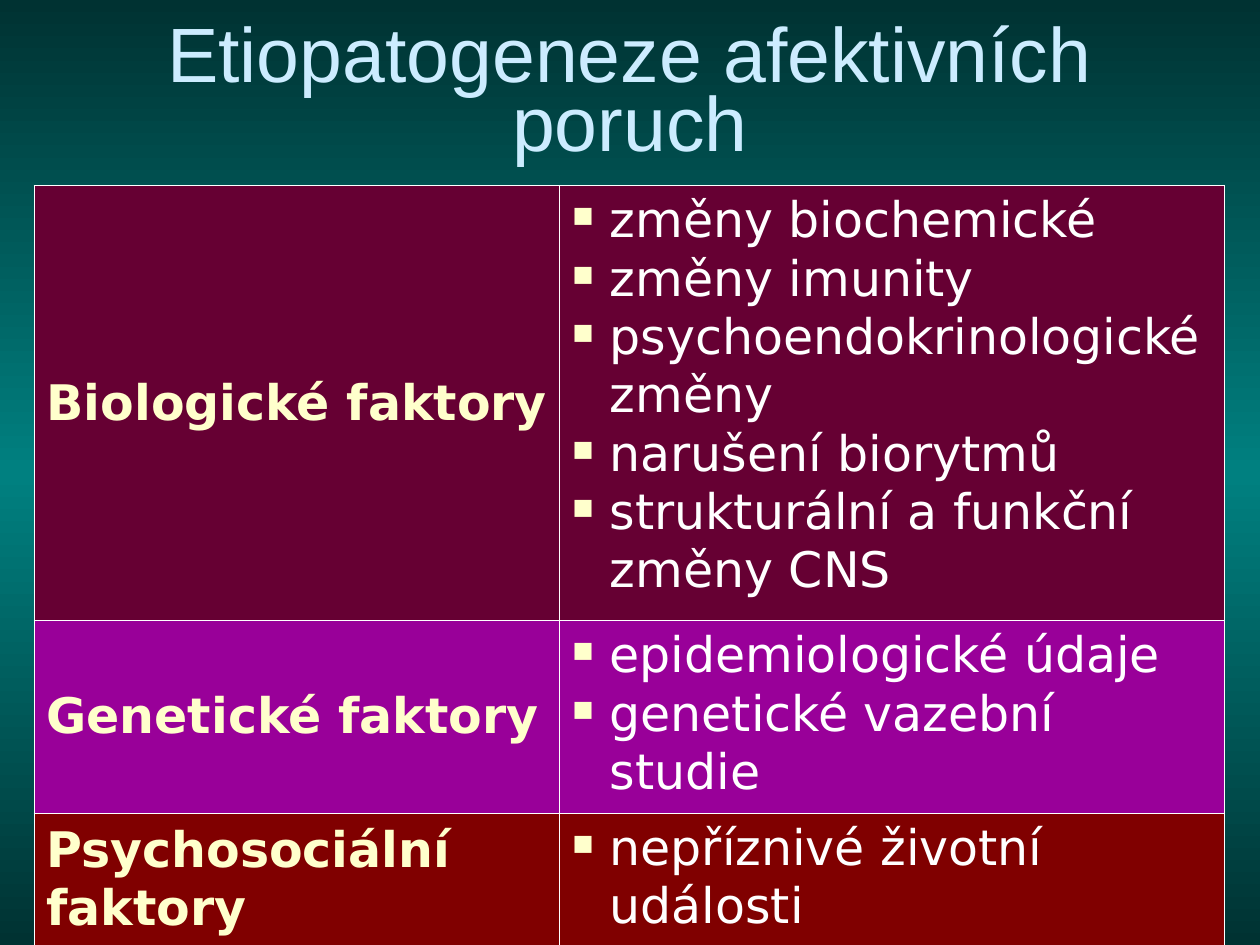
from copy import deepcopy
from dataclasses import dataclass

from lxml.etree import SubElement
from pptx import Presentation
from pptx.dml.color import RGBColor
from pptx.enum.text import MSO_ANCHOR, PP_ALIGN
from pptx.oxml import parse_xml
from pptx.oxml.ns import nsdecls, qn
from pptx.slide import Slide
from pptx.table import _Cell
from pptx.text.text import _Paragraph
from pptx.util import Inches, Pt

WHITE, CREAM, ICE = "FFFFFF", "FFFFCC", "CCECFF"
DARK, TEAL = "003232", "008080"


@dataclass
class Factor:
    """One table row: a factor, its fill, its height and its items."""
    name: str
    fill: str
    height: float
    items: list[str]


FACTORS = [
    Factor("Biologické faktory", "660033", 3.45, [
        "změny biochemické",
        "změny imunity",
        "psychoendokrinologické změny",
        "narušení biorytmů",
        "strukturální a funkční změny CNS",
    ]),
    Factor("Genetické faktory", "990099", 1.41, [
        "epidemiologické údaje",
        "genetické vazební studie",
    ]),
    Factor("Psychosociální faktory", "800000", 1.05, [
        "nepříznivé životní události",
    ]),
]


def tint(code: str) -> RGBColor:
    """Turn a hex string into a colour."""
    return RGBColor.from_string(code)


def write(para: _Paragraph, text: str, size: float, font: str, color: str,
          gap: float, bold: bool = False) -> None:
    """Add one styled run and set the paragraph spacing."""
    para.line_spacing = gap
    para.space_before = para.space_after = Pt(0.1)
    run = para.add_run()
    run.text = text
    run.font.size = Pt(size)
    run.font.name = font
    run.font.bold = bold
    run.font.color.rgb = tint(color)


def bullet(para: _Paragraph) -> None:
    """Give a paragraph a small square bullet and a hanging indent."""
    props = para._p.get_or_add_pPr()
    props.set("marL", str(Inches(0.3)))
    props.set("indent", str(-Inches(0.3)))
    color = SubElement(props, qn("a:buClr"))
    SubElement(color, qn("a:srgbClr"), val=CREAM)
    SubElement(props, qn("a:buSzPct"), val="60000")
    SubElement(props, qn("a:buChar"), char="■")


def paint(cell: _Cell, fill: str) -> None:
    """Fill a cell and draw its four thin borders."""
    cell.fill.solid()
    cell.fill.fore_color.rgb = tint(fill)
    props = cell._tc.get_or_add_tcPr()
    for spot, side in enumerate("LRTB"):
        props.insert(spot, parse_xml(
            f'<a:ln{side} {nsdecls("a")} w="{Pt(0.5)}"><a:solidFill>'
            f'<a:srgbClr val="{WHITE}"/></a:solidFill></a:ln{side}>'))


def backdrop(slide: Slide) -> None:
    """Lay a vertical three-stop gradient behind the slide."""
    fill = slide.background.fill
    fill.gradient()
    fill.gradient_angle = 270
    stops = next(slide.element.iter(qn("a:gsLst")))
    stops.append(deepcopy(stops[-1]))
    for stop, color, place in zip(fill.gradient_stops, (DARK, TEAL, DARK), (0, 0.5, 1)):
        stop.color.rgb = tint(color)
        stop.position = place


def title(slide: Slide, text: str) -> None:
    """Add the centred heading."""
    box = slide.shapes.add_textbox(Inches(0.5), Inches(0.14), Inches(9), Inches(1.25))
    frame = box.text_frame
    frame.word_wrap = True
    frame.vertical_anchor = MSO_ANCHOR.MIDDLE
    para = frame.paragraphs[0]
    para.alignment = PP_ALIGN.CENTER
    write(para, text, 44, "Arial", ICE, 0.75)


def grid(slide: Slide, factors: list[Factor]) -> None:
    """Add the table of factors and their items."""
    high = sum(factor.height for factor in factors)
    table = slide.shapes.add_table(len(factors), 2, Inches(0.27), Inches(1.47),
                                   Inches(9.45), Inches(high)).table
    table.first_row = table.horz_banding = False
    for column, width in zip(table.columns, (4.17, 5.28)):
        column.width = Inches(width)
    for row, factor in zip(table.rows, factors):
        row.height = Inches(factor.height)
        head, body = row.cells
        for cell in (head, body):
            paint(cell, factor.fill)
        head.vertical_anchor = MSO_ANCHOR.MIDDLE
        write(head.text_frame.paragraphs[0], factor.name, 28, "DejaVu Sans",
              CREAM, 1.02, True)
        frame = body.text_frame
        for rank, item in enumerate(factor.items):
            para = frame.add_paragraph() if rank else frame.paragraphs[0]
            write(para, item, 28, "DejaVu Sans", WHITE, 1.02)
            bullet(para)


def main() -> None:
    """Build and save the slide."""
    deck = Presentation()
    deck.slide_width, deck.slide_height = Inches(10), Inches(7.5)
    slide = deck.slides.add_slide(deck.slide_layouts[6])
    backdrop(slide)
    title(slide, "Etiopatogeneze afektivních poruch")
    grid(slide, FACTORS)
    deck.save("out.pptx")


if __name__ == "__main__":
    main()
